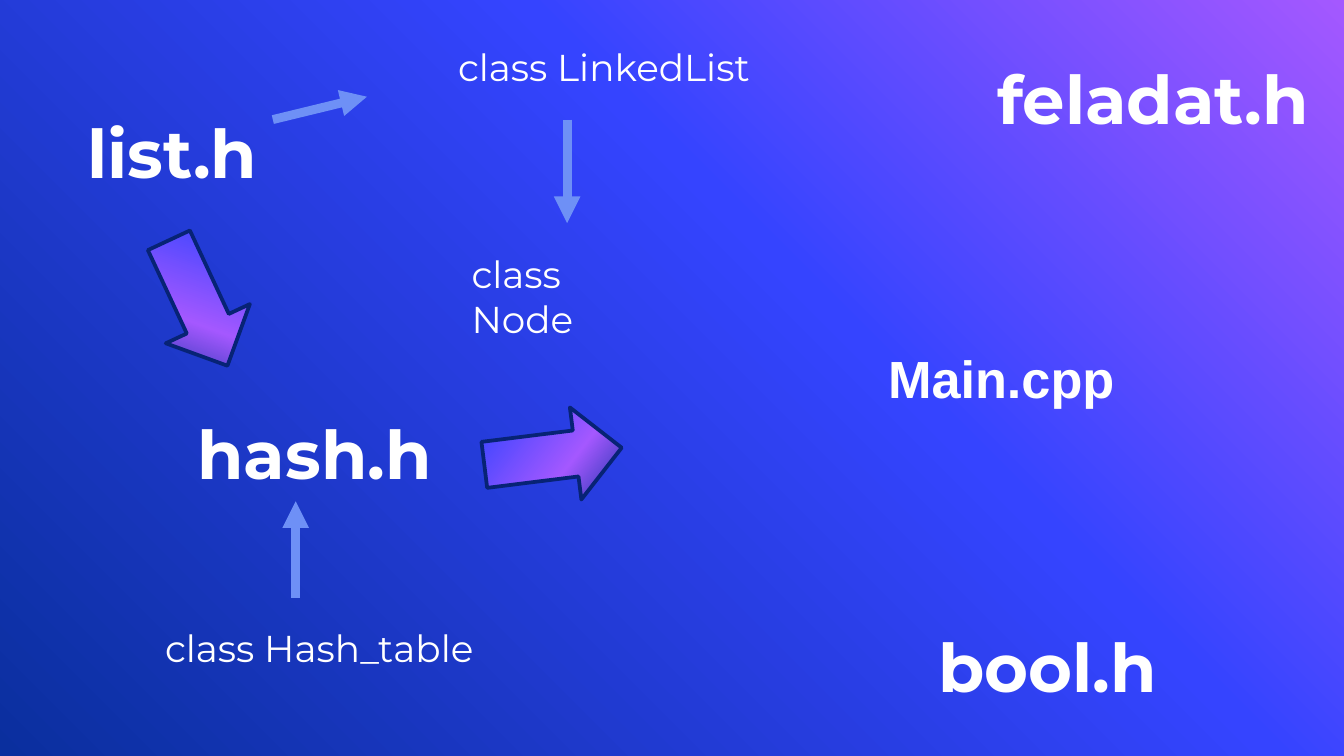
from copy import deepcopy

from lxml.etree import SubElement
from pptx import Presentation
from pptx.dml.color import RGBColor
from pptx.enum.shapes import MSO_CONNECTOR as Line, MSO_SHAPE as Shape
from pptx.enum.text import MSO_ANCHOR as Anchor
from pptx.oxml.ns import qn
from pptx.util import Inches, Pt

COLORS = {
    "violet": "A458FF",
    "blue": "3544FF",
    "navy": "0A2F9E",
    "outline": "072375",
    "arrow": "6E90F6",
    "text": "FFFFFF",
}
CELL = Inches(0.1)  # grid of 100 columns by 56.25 rows


def cells(*counts):
    return [round(count * CELL) for count in counts]


def set_gradient(fill, element, stops):
    """Give the fill three (color, position) stops, running to the lower left."""
    fill.gradient()
    stop_list = element.find(".//" + qn("a:gsLst"))
    stop_list.append(deepcopy(stop_list[-1]))
    fill.gradient_angle = 225
    for stop, (color, position) in zip(fill.gradient_stops, stops):
        stop.color.rgb = RGBColor.from_string(COLORS[color])
        stop.position = position


deck = Presentation()
deck.slide_width, deck.slide_height = cells(100, 56.25)
page = deck.slides.add_slide(deck.slide_layouts[6])
set_gradient(page.background.fill, page.element,
             [("violet", 0), ("blue", 0.39), ("navy", 1)])

# Block arrows between the header files: left, top, rotation
for left, top, rotation in [(11.3, 17.4, 335), (37.7, 28.8, 262.9)]:
    block = page.shapes.add_shape(Shape.DOWN_ARROW, *cells(left, top, 6.9, 10.3))
    block.rotation = rotation
    block.shadow.inherit = False
    set_gradient(block.fill, block.element,
                 [("blue", 0.06), ("violet", 0.6), ("navy", 1)])
    block.line.color.rgb = RGBColor.from_string(COLORS["outline"])
    block.line.width = Pt(2)

# Thin arrows between files and classes: start and end points
for ends in [(42.2, 8.9, 42.2, 16.6), (20.3, 8.9, 27.3, 7.2), (22, 44.5, 22, 37.3)]:
    arrow = page.shapes.add_connector(Line.STRAIGHT, *cells(*ends))
    arrow.line.color.rgb = RGBColor.from_string(COLORS["arrow"])
    arrow.line.width = Pt(4.75)
    SubElement(arrow.element.spPr.find(qn("a:ln")), qn("a:tailEnd"), type="triangle")
    SubElement(arrow.element.spPr, qn("a:effectLst"))

# Labels: font, size, bold, box height, then text, left, top, width
label_styles = [
    ("Montserrat", 36, True, 6.2, [
        ("list.h", 6.5, 8.1, 46.6),
        ("hash.h", 14.7, 30.5, 46.6),
        ("feladat.h", 74.2, 4.1, 46.6),
        ("bool.h", 69.8, 46.3, 46.6),
    ]),
    ("Montserrat", 20, False, 4.4, [
        ("class LinkedList", 33.1, 2.8, 32),
        ("class Node", 34.1, 18.2, 16.9),
        ("class Hash_table", 11.3, 46, 32),
    ]),
    ("Arial", 28, True, 5.7, [("Main.cpp", 65.1, 25.3, 20.2)]),
]
for font, size, bold, height, labels in label_styles:
    for text, left, top, width in labels:
        box = page.shapes.add_textbox(*cells(left, top, width, height))
        frame = box.text_frame
        frame.word_wrap = True
        if size == 36:
            frame.vertical_anchor = Anchor.BOTTOM
            frame.margin_left = frame.margin_right = 0
            frame.margin_top = frame.margin_bottom = 0
        para = frame.paragraphs[0]
        para.text = text
        para.font.name = font
        para.font.size = Pt(size)
        para.font.bold = bold
        para.font.color.rgb = RGBColor.from_string(COLORS["text"])

deck.save("out.pptx")
